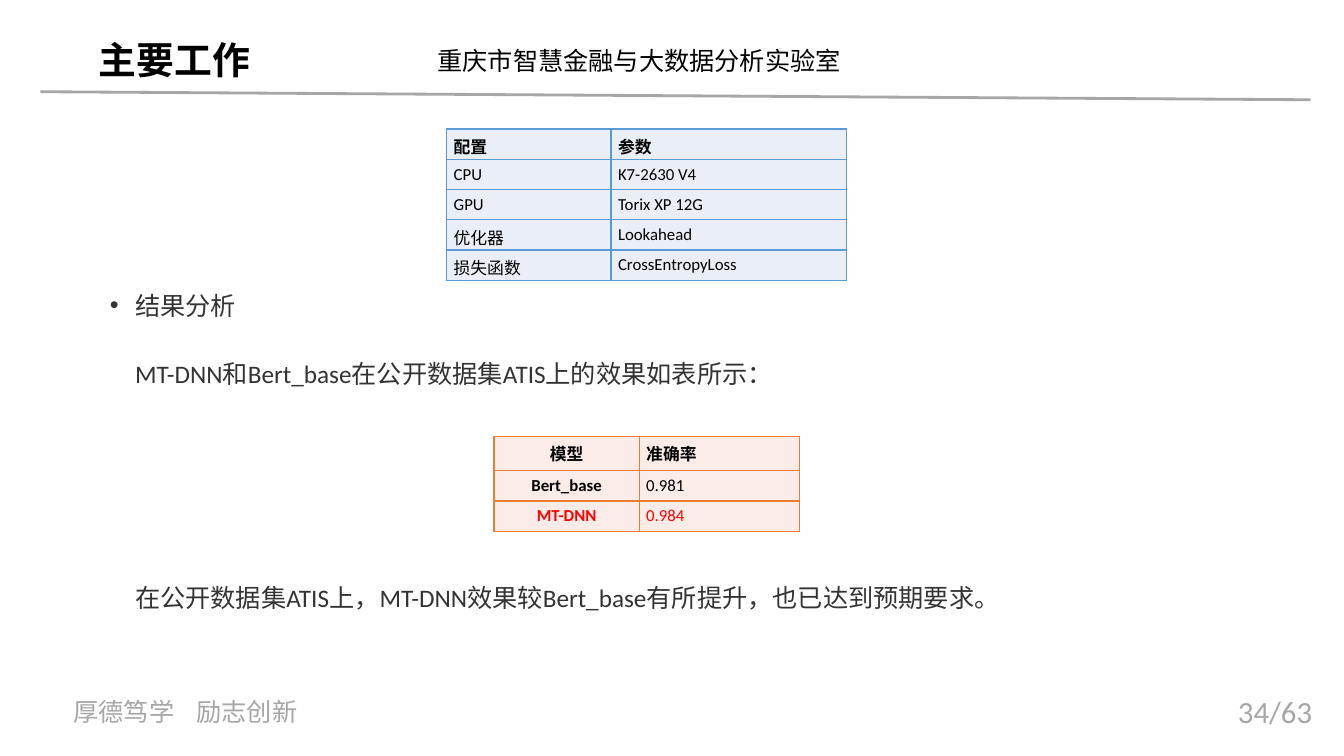
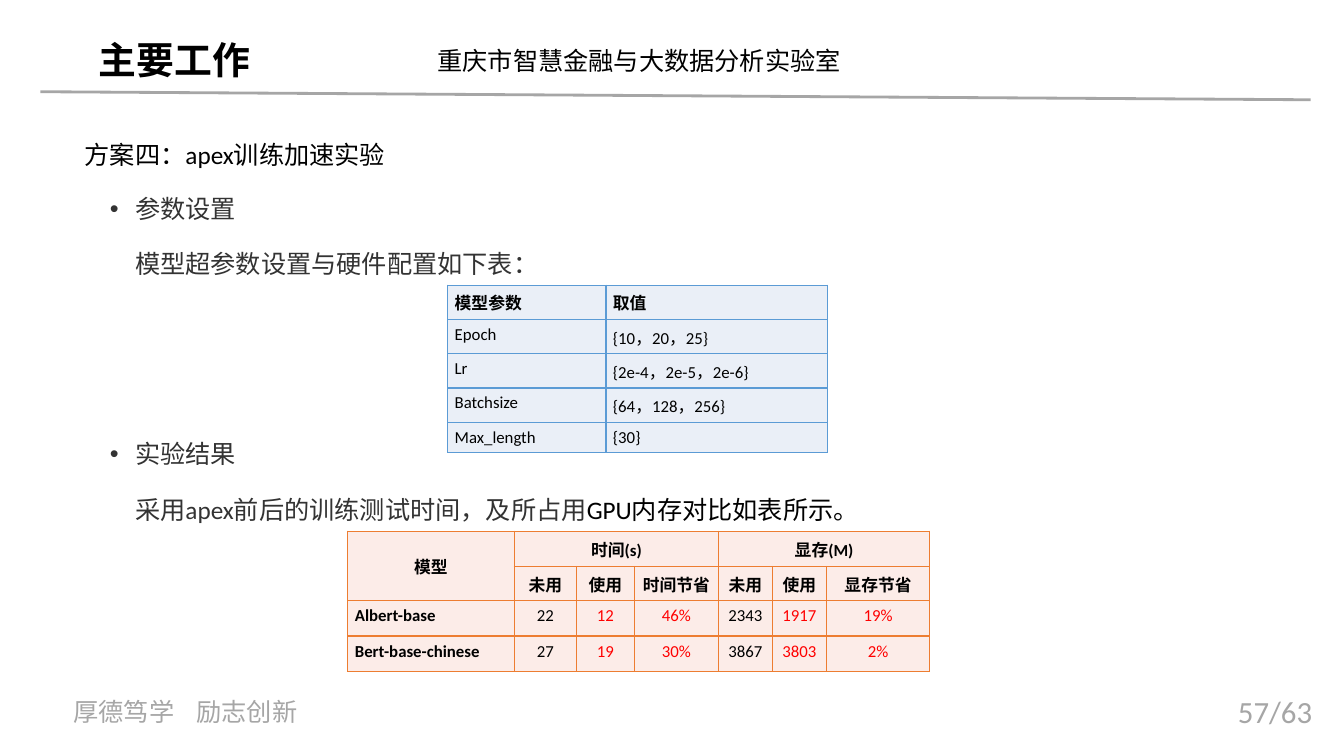
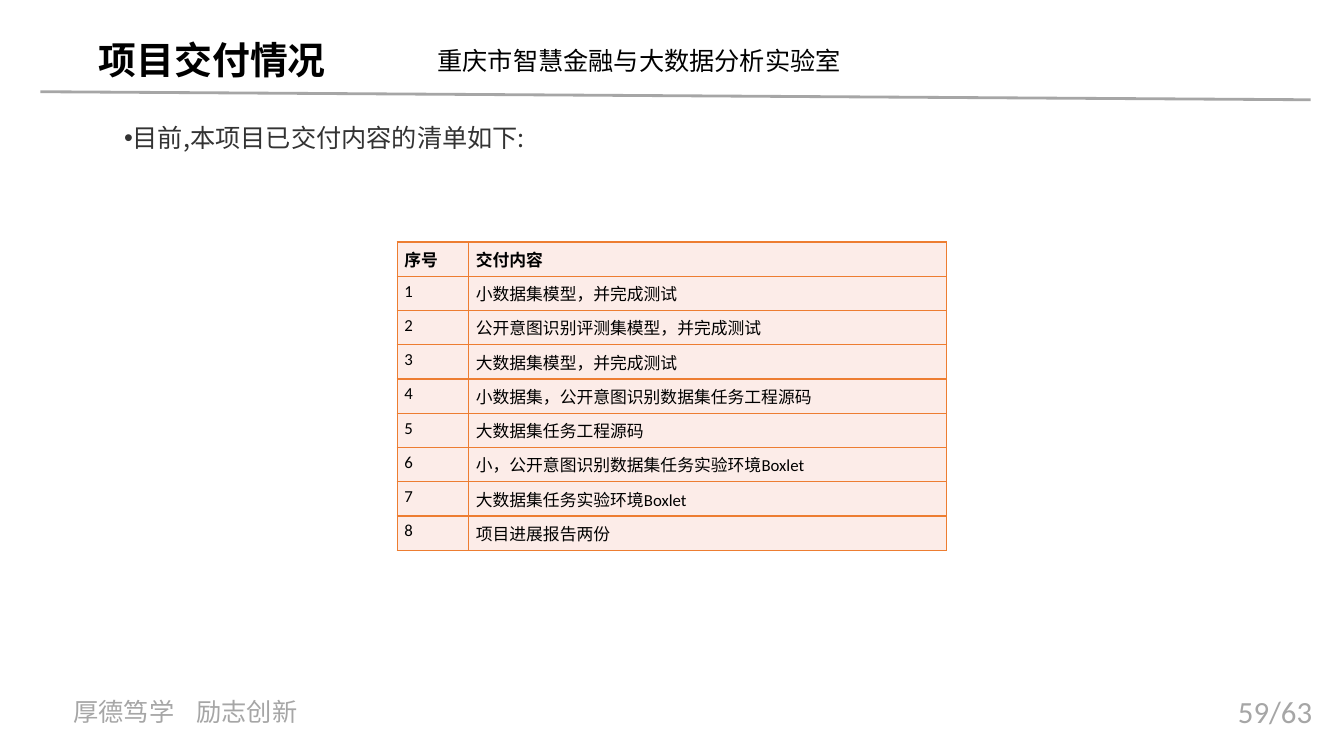
from lxml import etree
from pptx import Presentation
from pptx.dml.color import RGBColor
from pptx.enum.shapes import MSO_CONNECTOR
from pptx.enum.text import MSO_ANCHOR, MSO_AUTO_SIZE, PP_ALIGN
from pptx.oxml.ns import qn
from pptx.util import Inches, Pt

COLORS = {"black": "000000", "text": "333333", "gray": "A6A6A6", "red": "FF0000",
          "blue_line": "5B9BD5", "blue_fill": "EAEFF7",
          "orange_line": "ED7D31", "orange_fill": "FCECE8"}
LATIN, CJK = "Calibri", "Noto Sans CJK SC"
TITLE = {"size": Pt(27), "bold": True, "name": CJK}
BODY = {"size": Pt(18), "name": LATIN}
BODY_CJK = {"size": Pt(18), "name": CJK}
PAGE = {"size": Pt(22), "name": LATIN}
CELL = {"size": Pt(12), "name": LATIN, "bold": False}
HEAD = {**CELL, "bold": True}
MOTTO_TAB = 1.22

# Paragraph kinds: left margin and first-line indent in inches, bullet
KINDS = {"plain": (0, 0, False), "bullet": (0.5, -0.25, True),
         "indented": (0.5, 0, False), "inline": (0, 0.39, True)}


def add_run(p, text, fmt, color):
    r = p.add_run()
    r.text = text
    for name, value in fmt.items():
        setattr(r.font, name, value)
    r.font.color.rgb = RGBColor.from_string(COLORS[color])
    etree.SubElement(r.font._element, qn("a:ea"), typeface=CJK)


def add_grid(s, x, y, cols, heights, rows, hue, heads=1, centered=(), bold_cols=(),
             red=(), bottom=0.05):
    frame = s.shapes.add_table(len(rows), len(cols), Inches(x), Inches(y),
                               Inches(sum(cols)), Inches(sum(heights)))
    table = frame.table
    table.first_row = table.horz_banding = False
    for col, width in zip(table.columns, cols):
        col.width = Inches(width)
    for row, height in zip(table.rows, heights):
        row.height = Inches(height)
    for i, row in enumerate(rows):
        for j, text in enumerate(row):
            cell = table.cell(i, j)
            cell.margin_left = cell.margin_right = Inches(0.07)
            cell.margin_top, cell.margin_bottom = Inches(0.05), Inches(bottom)
            cell.vertical_anchor = MSO_ANCHOR.MIDDLE if j in centered and i < heads else MSO_ANCHOR.TOP
            # Borders come before the fill in the cell properties
            tcPr = cell._tc.get_or_add_tcPr()
            for side in ("lnL", "lnR", "lnT", "lnB"):
                ln = etree.SubElement(tcPr, qn("a:" + side), w=str(Pt(1)))
                solid = etree.SubElement(ln, qn("a:solidFill"))
                etree.SubElement(solid, qn("a:srgbClr"), val=COLORS[hue + "_line"])
            cell.fill.solid()
            cell.fill.fore_color.rgb = RGBColor.from_string(COLORS[hue + "_fill"])
            if text:
                p = cell.text_frame.paragraphs[0]
                p.alignment = PP_ALIGN.CENTER if j in centered else PP_ALIGN.LEFT
                if i < heads and len(cols) > 2:
                    p.alignment = PP_ALIGN.CENTER
                add_run(p, text, HEAD if i < heads or j in bold_cols else CELL,
                        "red" if (i, j) in red else "black")
    return table


prs = Presentation()
prs.slide_width, prs.slide_height = Inches(13.33), Inches(7.5)

# Each block: top, space between paragraphs, paragraphs as (kind, font, runs)
PAGES = [
    ("主要工作", 1.72, "34/63", [
        (2.9, 29, [
            ("bullet", BODY_CJK, [("结果分析", "text")]),
            ("indented", BODY, [("MT-DNN和Bert_base在公开数据集ATIS上的效果如表所示：", "text")])]),
        (5.8, 0, [
            ("indented", BODY, [("在公开数据集ATIS上，MT-DNN效果较Bert_base有所提升，也已达到预期要求。", "text")])]),
    ]),
    ("主要工作", 1.72, "57/63", [
        (1.4, 19, [
            ("plain", BODY, [("方案四：apex训练加速实验", "black")]),
            ("bullet", BODY_CJK, [("参数设置", "text")]),
            ("indented", BODY, [("模型超参数设置与硬件配置如下表：", "text")])]),
        (4.37, 20, [
            ("bullet", BODY_CJK, [("实验结果", "text")]),
            ("indented", BODY, [("采用apex前后的训练测试时间，及所占用", "text"),
                                ("GPU内存对比如表所示。", "black")])]),
    ]),
    ("项目交付情况", 2.48, "59/63", [
        (1.24, 0, [
            ("inline", BODY_CJK, [("目前,本项目已交付内容的清单如下:", "text")])]),
    ]),
]

slides = []
for title, title_width, page, blocks in PAGES:
    s = prs.slides.add_slide(prs.slide_layouts[5])
    slides.append(s)

    # Title
    sp = s.shapes.title
    sp.left, sp.top, sp.width, sp.height = [Inches(v) for v in (0.88, 0.31, title_width, 0.56)]
    tf = sp.text_frame
    tf.word_wrap, tf.auto_size = False, MSO_AUTO_SIZE.NONE
    tf.vertical_anchor = MSO_ANCHOR.MIDDLE
    tf.paragraphs[0].alignment = PP_ALIGN.LEFT
    add_run(tf.paragraphs[0], title, TITLE, "black")

    # Header rule
    rule = s.shapes.add_connector(MSO_CONNECTOR.STRAIGHT, Inches(0.4), Inches(0.91),
                                  Inches(13), Inches(0.99))
    rule.line.width = Pt(2)
    rule.line.color.rgb = RGBColor.from_string(COLORS["gray"])
    etree.SubElement(rule._element.spPr, qn("a:effectLst"))

    # Lab name, motto and page number
    for box, text, fmt, color in [
            ((4.24, 0.4, 4.29, 0.4), "重庆市智慧金融与大数据分析实验室", BODY, "black"),
            ((0.63, 6.86, 2.99, 0.4), "厚德笃学\t励志创新", BODY, "gray"),
            ((12.18, 6.82, 1.15, 0.47), page, PAGE, "gray")]:
        tf = s.shapes.add_textbox(*[Inches(v) for v in box]).text_frame
        tf.word_wrap, tf.vertical_anchor = True, MSO_ANCHOR.MIDDLE
        p = tf.paragraphs[0]
        if "\t" in text:
            tabs = etree.SubElement(p._p.get_or_add_pPr(), qn("a:tabLst"))
            etree.SubElement(tabs, qn("a:tab"), pos=str(Inches(MOTTO_TAB)), algn="l")
        add_run(p, text, fmt, color)

    # Body text
    for top, gap, paras in blocks:
        height = (20 * len(paras) + gap * (len(paras) - 1)) / 72
        tf = s.shapes.add_textbox(Inches(0.84), Inches(top), Inches(11.3), Inches(height)).text_frame
        tf.word_wrap = True
        tf.margin_left = tf.margin_right = tf.margin_top = tf.margin_bottom = 0
        for i, (kind, fmt, runs) in enumerate(paras):
            p = tf.add_paragraph() if i else tf.paragraphs[0]
            p.line_spacing = Pt(20)
            if i:
                p.space_before = Pt(gap)
            margin, indent, bullet = KINDS[kind]
            pPr = p._p.get_or_add_pPr()
            pPr.set("marL", str(Inches(margin)))
            pPr.set("indent", str(Inches(indent)))
            if bullet:
                etree.SubElement(pPr, qn("a:buFont"), typeface="Arial")
                etree.SubElement(pPr, qn("a:buChar"), char="•")
            for text, color in runs:
                add_run(p, text, fmt, color)

# Slide 1: hardware and accuracy
add_grid(slides[0], 4.43, 1.28, [1.63, 2.34], [0.3] * 5, [
    ("配置", "参数"),
    ("CPU", "K7-2630 V4"),
    ("GPU", "Torix XP 12G"),
    ("优化器", "Lookahead"),
    ("损失函数", "CrossEntropyLoss")], "blue", bottom=0.01)
add_grid(slides[0], 4.9, 4.33, [1.44, 1.59], [0.34, 0.3, 0.3], [
    ("模型", "准确率"),
    ("Bert_base", "0.981"),
    ("MT-DNN", "0.984")], "orange", centered=[0], bold_cols=[0], red=[(2, 0), (2, 1)])

# Slide 2: hyperparameters, then time and memory
add_grid(slides[1], 4.44, 2.83, [1.57, 2.2], [0.34] * 4 + [0.3], [
    ("模型参数", "取值"),
    ("Epoch", "{10，20，25}"),
    ("Lr", "{2e-4，2e-5，2e-6}"),
    ("Batchsize", "{64，128，256}"),
    ("Max_length", "{30}")], "blue")
table = add_grid(
    slides[1], 3.45, 5.27, [1.65, 0.62, 0.57, 0.84, 0.53, 0.54, 1.02], [0.35, 0.34, 0.35, 0.35], [
        ("模型", "时间(s)", "", "", "显存(M)", "", ""),
        ("", "未用", "使用", "时间节省", "未用", "使用", "显存节省"),
        ("Albert-base", "22", "12", "46%", "2343", "1917", "19%"),
        ("Bert-base-chinese", "27", "19", "30%", "3867", "3803", "2%")],
    "orange", heads=2, centered=range(1, 7), bold_cols=[0],
    red=[(i, j) for i in (2, 3) for j in (2, 3, 5, 6)])
for first, last in [((0, 0), (1, 0)), ((0, 1), (0, 3)), ((0, 4), (0, 6))]:
    table.cell(*first).merge(table.cell(*last))
table.cell(0, 0).vertical_anchor = MSO_ANCHOR.MIDDLE

# Slide 3: deliverables
items = ["小数据集模型，并完成测试", "公开意图识别评测集模型，并完成测试", "大数据集模型，并完成测试",
         "小数据集，公开意图识别数据集任务工程源码", "大数据集任务工程源码",
         "小，公开意图识别数据集任务实验环境Boxlet", "大数据集任务实验环境Boxlet", "项目进展报告两份"]
rows = [("序号", "交付内容")] + [(str(n), item) for n, item in enumerate(items, 1)]
add_grid(slides[2], 3.94, 2.4, [0.71, 4.74], [0.34] * len(rows), rows, "orange")

prs.save("out.pptx")
